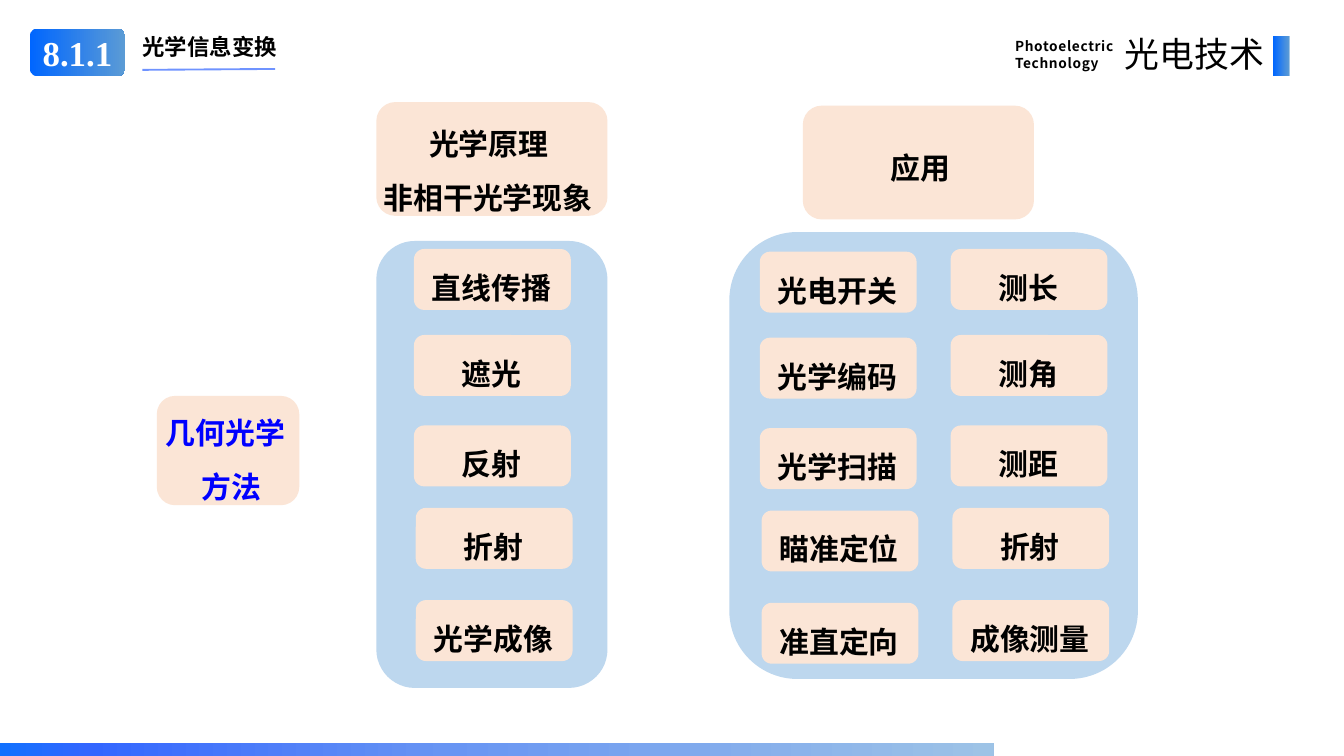
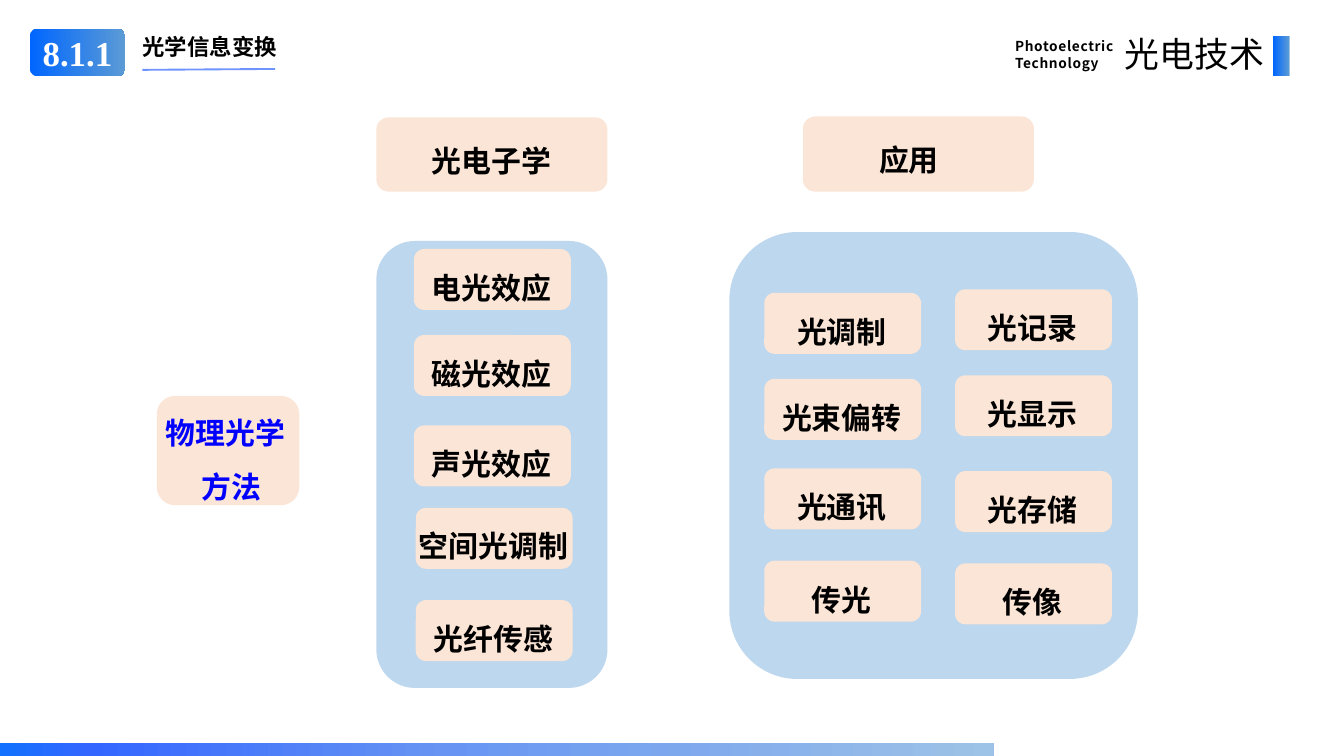
from collections import namedtuple
from dataclasses import dataclass

from lxml import etree
from pptx import Presentation
from pptx.dml.color import RGBColor
from pptx.enum import shapes, text
from pptx.oxml import ns
from pptx.util import Inches, Pt


@dataclass(frozen=True)
class Theme:
    sans: str = "Noto Sans CJK SC"
    serif: str = "Times New Roman"
    ink: str = "000000"
    white: str = "FFFFFF"
    method: str = "0000FF"
    rule: str = "3366FF"
    panel: str = "BDD7EE"
    card: str = "FBE5D6"
    accent: tuple = ((0, "0066FF"), (100, "5B9BD5"))
    footer: tuple = ((0, "1271FE"), (9, "3366FF"), (45, "6895F3"), (100, "9DC3E6"))
    brand_size: int = 28
    card_size: int = 24
    title_size: int = 18
    subtitle_size: int = 11


THEME = Theme()
Box = namedtuple("Box", "left top width height")
Heading = namedtuple("Heading", "box label lines")
Column = namedtuple("Column", "left top steps labels")
Topic = namedtuple("Topic", "method headings principles applications")

ALIGN = {"l": text.PP_ALIGN.LEFT, "c": text.PP_ALIGN.CENTER, "r": text.PP_ALIGN.RIGHT}
PRINCIPLE_PANEL = Box(4.2, 2.69, 2.58, 4.99)
APPLICATION_PANEL = Box(8.14, 2.59, 4.56, 4.99)
METHOD_BOX = Box(1.75, 4.42, 1.59, 1.22)
CARD_WIDTH, CARD_HEIGHT = 1.75, 0.68

# Card offsets (across, down) from the first card of a column
FIVE_ROWS = ((0, 0), (0, 0.96), (0, 1.97), (0.02, 2.89), (0.02, 3.92))
FOUR_ROWS = ((0, 0), (0, 0.96), (0, 1.96), (0, 2.99))
SPLIT_ROWS = ((0, 0), (0, 0.96), (0, 2.03), (0, 3.06))

TOPICS = (
    Topic(
        ("几何光学", "方法"),
        (
            Heading(Box(4.2, 1.14, 2.58, 1.27), Box(0.08, 0.06, 2.35, 1.21),
                    ("光学原理", "非相干光学现象")),
            Heading(Box(8.96, 1.18, 2.58, 1.27), Box(0.14, 0.29, 2.35, 0.53), ("应用",)),
        ),
        (Column(0.42, 0.09, FIVE_ROWS, ("直线传播", "遮光", "反射", "折射", "光学成像")),),
        (
            Column(0.34, 0.22, FIVE_ROWS,
                   ("光电开关", "光学编码", "光学扫描", "瞄准定位", "准直定向")),
            Column(2.47, 0.19, FIVE_ROWS, ("测长", "测角", "测距", "折射", "成像测量")),
        ),
    ),
    Topic(
        ("物理光学", "方法"),
        (
            Heading(Box(4.2, 1.31, 2.58, 0.83), Box(0.11, 0.08, 2.35, 0.42), ("光电子学",)),
            Heading(Box(8.96, 1.3, 2.58, 0.84), Box(0.01, 0.08, 2.35, 0.45), ("应用",)),
        ),
        (Column(0.42, 0.09, FIVE_ROWS,
                ("电光效应", "磁光效应", "声光效应", "空间光调制", "光纤传感")),),
        (
            Column(0.39, 0.68, FOUR_ROWS, ("光调制", "光束偏转", "光通讯", "传光")),
            Column(2.52, 0.64, SPLIT_ROWS, ("光记录", "光显示", "光存储", "传像")),
        ),
    ),
)


def inches(box):
    return [Inches(value) for value in box]


def write(frame, lines, size=THEME.card_size, color=THEME.ink, font=THEME.sans,
          bold=True, aligns="c", spacing=1.0, tracking=0, inset=None):
    """Fill a text frame; the last letter of aligns holds for the remaining lines."""
    frame.word_wrap = True
    if inset is not None:
        frame.margin_left = frame.margin_right = Inches(inset)
        frame.margin_top = frame.margin_bottom = Inches(inset)
    for index, line in enumerate(lines):
        paragraph = frame.add_paragraph() if index else frame.paragraphs[0]
        paragraph.alignment = ALIGN[aligns[min(index, len(aligns) - 1)]]
        paragraph.line_spacing = spacing
        run = paragraph.add_run()
        run.text = line
        run.font.size, run.font.bold, run.font.name = Pt(size), bold, font
        run.font.color.rgb = RGBColor.from_string(color)
        properties = run.font._element
        etree.SubElement(properties, ns.qn("a:ea"), typeface=font)
        if tracking:
            properties.set("spc", str(int(tracking * 100)))


def add_label(parent, box, lines, **style):
    frame = parent.add_textbox(*inches(box)).text_frame
    write(frame, lines, **style)
    frame.auto_size = text.MSO_AUTO_SIZE.SHAPE_TO_FIT_TEXT


def add_block(parent, box, fill, rounded=True):
    """Add a borderless block; fill is a colour or a series of gradient stops."""
    kind = shapes.MSO_SHAPE.ROUNDED_RECTANGLE if rounded else shapes.MSO_SHAPE.RECTANGLE
    block = parent.add_shape(kind, *inches(box))
    block.shadow.inherit = False
    block.line.fill.background()
    if isinstance(fill, str):
        block.fill.solid()
        block.fill.fore_color.rgb = RGBColor.from_string(fill)
        return block
    block.fill.gradient()
    block.fill.gradient_angle = 0
    stops = block._element.spPr.find(ns.qn("a:gradFill")).find(ns.qn("a:gsLst"))
    for stop in list(stops):
        stops.remove(stop)
    for position, color in fill:
        stop = etree.SubElement(stops, ns.qn("a:gs"), pos=str(position * 1000))
        etree.SubElement(stop, ns.qn("a:srgbClr"), val=color)
    return block


def add_card(slide, box, label, lines, **style):
    """Group a card with its label; the label box is relative to the card."""
    group = slide.shapes.add_group_shape().shapes
    add_block(group, box, THEME.card)
    place = Box(box.left + label.left, box.top + label.top, label.width, label.height)
    add_label(group, place, lines, spacing=1.5, **style)


def add_panel(slide, box, columns):
    add_block(slide.shapes, box, THEME.panel)
    for column in columns:
        for (across, down), name in zip(column.steps, column.labels):
            card = Box(box.left + column.left + across, box.top + column.top + down,
                       CARD_WIDTH, CARD_HEIGHT)
            label = Box(-0.02, 0.02, 1.77, 0.61) if len(name) > 4 else Box(0.12, 0.03, 1.49, 0.53)
            add_card(slide, card, label, [name], inset=0)


def add_title(slide):
    title = slide.shapes.title
    title.left, title.top, title.width, title.height = inches(Box(1.49, 0.32, 1.82, 0.4))
    title.text_frame.vertical_anchor = text.MSO_ANCHOR.TOP
    title.text_frame.auto_size = text.MSO_AUTO_SIZE.NONE
    write(title.text_frame, ["光学信息变换"], size=THEME.title_size, aligns="l")

    badge = add_block(slide.shapes, Box(0.33, 0.32, 1.07, 0.53), THEME.accent)
    badge.text_frame.vertical_anchor = text.MSO_ANCHOR.MIDDLE
    write(badge.text_frame, ["8.1.1"], size=THEME.brand_size, color=THEME.white,
          font=THEME.serif)

    underline = slide.shapes.add_connector(
        shapes.MSO_CONNECTOR.STRAIGHT, *inches((1.59, 0.78, 3.07, 0.77)))
    underline.line.width = Pt(1.5)
    underline.line.color.rgb = RGBColor.from_string(THEME.rule)
    color = next(underline._element.spPr.iter(ns.qn("a:srgbClr")))
    etree.SubElement(color, ns.qn("a:alpha"), val="70000")
    etree.SubElement(underline._element.spPr, ns.qn("a:effectLst"))


def add_course_name(slide):
    add_label(slide.shapes, Box(11.23, 0.36, 1.31, 0.49), ("Photoelectric", "Technology"),
              size=THEME.subtitle_size, aligns="l", spacing=Pt(14), tracking=0.5)
    add_label(slide.shapes, Box(12.31, 0.32, 1.9, 0.57), ["光电技术"],
              size=THEME.brand_size, bold=False, aligns="r", tracking=0.2)
    add_block(slide.shapes, Box(14.21, 0.4, 0.18, 0.45), THEME.accent, rounded=False)


def add_topic_slide(deck, topic):
    slide = deck.slides.add_slide(deck.slide_layouts.get_by_name("Title Only"))
    add_panel(slide, APPLICATION_PANEL, topic.applications)
    add_panel(slide, PRINCIPLE_PANEL, topic.principles)
    add_card(slide, METHOD_BOX, Box(0, -0.04, 1.67, 1.31), topic.method,
             color=THEME.method, aligns="lc")
    for heading in topic.headings:
        add_card(slide, heading.box, heading.label, heading.lines, aligns="cl", inset=0)
    add_title(slide)
    add_course_name(slide)
    add_block(slide.shapes, Box(0, 8.3, 11.09, 0.14), THEME.footer, rounded=False)


def main():
    deck = Presentation()
    deck.slide_width, deck.slide_height = Inches(15), Inches(8.44)
    for topic in TOPICS:
        add_topic_slide(deck, topic)
    deck.save("out.pptx")


if __name__ == "__main__":
    main()
